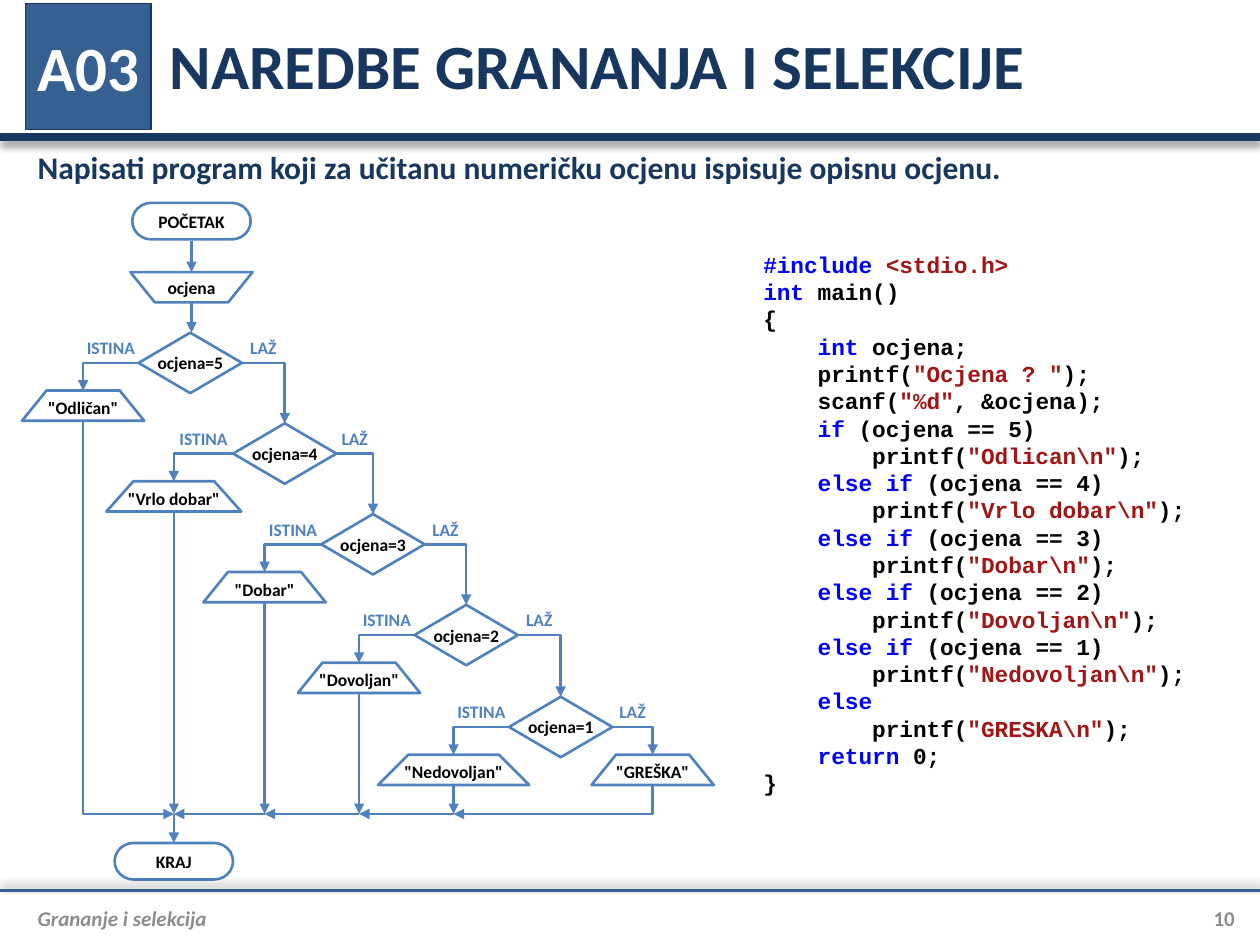
from lxml import etree
from pptx import Presentation
from pptx.dml.color import RGBColor
from pptx.enum import shapes, text
from pptx.oxml import ns
from pptx.util import Inches, Pt

NAVY = RGBColor(0x17, 0x37, 0x5E)
STEEL = RGBColor(0x37, 0x60, 0x92)
BLUE = RGBColor(0x4F, 0x81, 0xBD)
GREY = RGBColor(0x8C, 0x8C, 0x8C)
WHITE = RGBColor(0xFF, 0xFF, 0xFF)
BLACK = RGBColor(0, 0, 0)
KEY = RGBColor(0, 0, 0xFF)
QUOTE = RGBColor(0xA3, 0x15, 0x15)

KINDS = shapes.MSO_SHAPE
MID = text.PP_ALIGN.CENTER

# Centre and top of each test, answer, centre and width of its output
TESTS = [
    ("ocjena=5", 1.34, 1.03, '"Odličan"', 0.49, 0.97),
    ("ocjena=4", 2.09, 1.75, '"Vrlo dobar"', 1.21, 1.07),
    ("ocjena=3", 2.79, 2.47, '"Dobar"', 1.93, 0.97),
    ("ocjena=2", 3.53, 3.19, '"Dovoljan"', 2.68, 0.97),
    ("ocjena=1", 4.28, 3.92, '"Nedovoljan"', 3.43, 1.2),
]

# Bars part the differently coloured pieces of a line
KEYS = ("#include", "int", "if", "else", "return")
CODE = r'''#include| |<stdio.h>
int| main()
{
    int| ocjena;
    printf(|"Ocjena ? "|);
    scanf(|"%d"|, &ocjena);
    if| (ocjena == 5)
        printf(|"Odlican\n"|);
    else| |if| (ocjena == 4)
        printf(|"Vrlo dobar\n"|);
    else| |if| (ocjena == 3)
        printf(|"Dobar\n"|);
    else| |if| (ocjena == 2)
        printf(|"Dovoljan\n"|);
    else| |if| (ocjena == 1)
        printf(|"Nedovoljan\n"|);
    else
        printf(|"GRESKA\n"|);
    return| 0;
}'''


def write(shape, words, size, color, align=None, inset=0, wrap=True):
    frame = shape.text_frame
    frame.word_wrap = wrap
    frame.vertical_anchor = text.MSO_ANCHOR.MIDDLE
    frame.margin_left = frame.margin_right = Inches(inset)
    frame.margin_top = frame.margin_bottom = 0
    para = frame.paragraphs[0]
    para.text = words
    para.alignment = align
    font = para.font
    font.name, font.size, font.bold = "Calibri", Pt(size), True
    font.color.rgb = color
    return font


def label(slide, box, words, size, color, align=None, inset=0.1):
    shape = slide.shapes.add_textbox(*map(Inches, box))
    return write(shape, words, size, color, align, inset)


def rule(slide, y, color, width, angle):
    line = slide.shapes.add_connector(
        shapes.MSO_CONNECTOR.STRAIGHT, 0, Inches(y), Inches(10), Inches(y))
    line.line.color.rgb = color
    line.line.width = Pt(width)
    effect = etree.SubElement(line._element.spPr, ns.qn("a:effectLst"))
    shade = etree.SubElement(
        effect, ns.qn("a:outerShdw"), blurRad=str(Pt(4)), dist=str(Pt(3)),
        dir=str(angle * 60000), rotWithShape="0")
    tint = etree.SubElement(shade, ns.qn("a:srgbClr"), val="000000")
    etree.SubElement(tint, ns.qn("a:alpha"), val="40000")


def arrow(slide, *points):
    """Draw a straight or bent line with an arrowhead at its last point."""
    points = [(Inches(x), Inches(y)) for x, y in points]
    if len(points) == 2:
        shape = slide.shapes.add_connector(
            shapes.MSO_CONNECTOR.STRAIGHT, *points[0], *points[1])
        etree.SubElement(shape._element.spPr, ns.qn("a:effectLst"))
    else:
        path = slide.shapes.build_freeform(*points[0])
        path.add_line_segments(points[1:], close=False)
        shape = path.convert_to_shape()
        shape.fill.background()
        shape.shadow.inherit = False
    shape.line.color.rgb = BLUE
    shape.line.width = Pt(1.5)
    etree.SubElement(shape.line._get_or_add_ln(), ns.qn("a:tailEnd"),
                     type="triangle")


def node(slide, kind, mid, top, wide, high, words):
    shape = slide.shapes.add_shape(
        kind, *map(Inches, (mid - wide / 2, top, wide, high)))
    shape.shadow.inherit = False
    shape.fill.solid()
    shape.fill.fore_color.rgb = WHITE
    shape.line.color.rgb = BLUE
    shape.line.width = Pt(1.5)
    if kind == KINDS.TRAPEZOID:
        shape.adjustments[0] = 0.2 * wide / high
    write(shape, words, 10, BLACK, MID, wrap=False)


def header(slide, left, top):
    rule(slide, top + 1.06, NAVY, 4.5, 90)
    badge = slide.shapes.add_shape(
        KINDS.RECTANGLE, Inches(left), Inches(top), Inches(1), Inches(1))
    badge.shadow.inherit = False
    badge.fill.solid()
    badge.fill.fore_color.rgb = STEEL
    badge.line.color.rgb = NAVY
    badge.line.width = Pt(0.75)
    write(badge, "A03", 36, WHITE, MID, wrap=False)
    label(slide, (left + 1.05, top - 0.02, 8.55, 1),
          "NAREDBE GRANANJA I SELEKCIJE", 36, NAVY)
    label(slide, (left, top + 1.04, 9.6, 0.51),
          "Napisati program koji za učitanu numeričku ocjenu "
          "ispisuje opisnu ocjenu.", 18, NAVY)


def footer(slide, left, top):
    rule(slide, top - 0.04, STEEL, 1.5, 270)
    font = label(slide, (left, top, 9.1, 0.35), "Grananje i selekcija",
                 12, GREY)
    font.italic = True
    label(slide, (left + 9.1, top, 0.5, 0.35), "10", 12, GREY,
          text.PP_ALIGN.RIGHT, 0)


def flow(slide, left, top):
    # Start and input
    start = left + 1.35
    node(slide, KINDS.FLOWCHART_TERMINATOR, start, top, 0.94, 0.29, "POČETAK")
    node(slide, KINDS.FLOWCHART_MANUAL_OPERATION, start, top + 0.55,
         0.97, 0.24, "ocjena")
    arrow(slide, (start, top + 0.3), (start, top + 0.55))
    arrow(slide, (start, top + 0.79), (start, top + 1.03))

    # Tests, each with a true branch on the left and a false one on the right
    join = top + 4.85
    outs = [left + test[4] for test in TESTS]
    last = left + 5.01
    ends = [(left + test[1], top + test[2]) for test in TESTS[1:]]
    ends.append((last, top + 4.38))
    for (ask, mid, high, answer, _, wide), out, end in zip(TESTS, outs, ends):
        mid, high = left + mid, top + high
        axis, drop = high + 0.24, high + 0.46
        west, east = mid - 0.41, mid + 0.41
        node(slide, KINDS.DIAMOND, mid, high, 0.82, 0.48, ask)
        node(slide, KINDS.TRAPEZOID, out, drop, wide, 0.24, answer)
        arrow(slide, (west, axis), (out, axis), (out, drop))
        arrow(slide, (east, axis), (end[0], axis), end)
        for word, x in (("ISTINA", (west + out) / 2),
                        ("LAŽ", (east + end[0]) / 2)):
            label(slide, (x - 0.22, axis - 0.22, 0.44, 0.2), word, 10, BLUE,
                  MID, 0)
        if out != outs[0]:
            arrow(slide, (out, drop + 0.24), (out, join))
    node(slide, KINDS.TRAPEZOID, last, top + 4.38, 0.97, 0.24, '"GREŠKA"')

    # Joining line and end
    arrow(slide, (outs[0], top + 1.73), (outs[0], join), (outs[1], join))
    arrow(slide, (last, top + 4.63), (last, join), (outs[-1], join))
    for near, far in zip(outs[1:], outs[2:]):
        arrow(slide, (far, join), (near, join))
    arrow(slide, (outs[1], join), (outs[1], top + 5.08))
    node(slide, KINDS.FLOWCHART_TERMINATOR, outs[1], top + 5.08,
         0.94, 0.29, "KRAJ")


def code(slide, *box):
    frame = slide.shapes.add_textbox(*map(Inches, box)).text_frame
    frame.word_wrap = True
    for i, line in enumerate(CODE.split("\n")):
        para = frame.add_paragraph() if i else frame.paragraphs[0]
        para.line_spacing = Pt(15.6)
        font = para.font
        font.name, font.size, font.bold = "Courier New", Pt(13), True
        for piece in line.split("|"):
            run = para.add_run()
            run.text = piece
            color = KEY if piece.strip() in KEYS else BLACK
            if piece[0] in '"<':
                color = QUOTE
            run.font.color.rgb = color


def main():
    deck = Presentation()
    deck.slide_width, deck.slide_height = Inches(10), Inches(7.5)
    slide = deck.slides.add_slide(deck.slide_layouts[6])
    header(slide, 0.2, 0.03)
    flow(slide, 0.17, 1.61)
    code(slide, 5.96, 1.94, 3.87, 4.48)
    footer(slide, 0.2, 7.11)
    deck.save("out.pptx")


if __name__ == "__main__":
    main()
